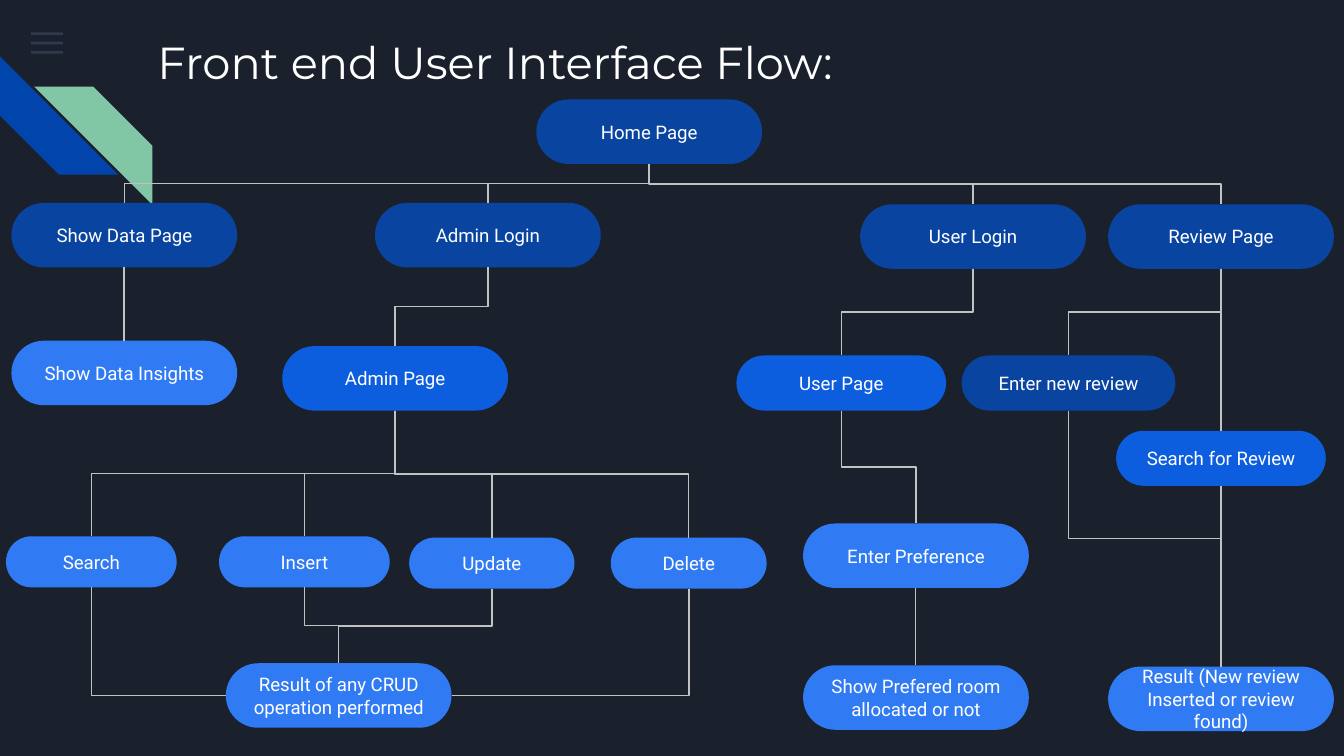
from dataclasses import dataclass

from lxml import etree as et
from pptx import Presentation
from pptx import util as u
from pptx.dml.color import RGBColor
from pptx.enum import shapes, text
from pptx.oxml import ns

PX = 4572
COLORS = {
    "bg": "1B212C",
    "text": "FFFFFF",
    "line": "C2C2C2",
    "menu": "55688B",
    "stripe": "0145AC",
    "mint": "82C7A5",
    "dark": "0944A1",
    "mid": "0D5DDF",
    "light": "307BF3",
}
TOP, LEFT, BOTTOM, RIGHT = range(4)


@dataclass(frozen=True)
class Node:
    label: str
    x: int
    y: int
    color: str
    w: int = 336
    h: int = 96

    def site(self, side: int) -> tuple[float, float]:
        cx, cy = self.x + self.w / 2, self.y + self.h / 2
        return {
            TOP: (cx, self.y),
            LEFT: (self.x, cy),
            BOTTOM: (cx, self.y + self.h),
            RIGHT: (self.x + self.w, cy),
        }[side]


@dataclass(frozen=True)
class Link:
    start: str
    end: str
    side: int = TOP


NODES = {
    "home": Node("Home Page", 798, 148, "dark"),
    "data": Node("Show Data Page", 17, 302, "dark"),
    "admin_login": Node("Admin Login", 558, 302, "dark"),
    "user_login": Node("User Login", 1280, 304, "dark"),
    "review": Node("Review Page", 1649, 304, "dark"),
    "insights": Node("Show Data Insights", 17, 507, "light"),
    "admin": Node("Admin Page", 420, 515, "mid"),
    "user": Node("User Page", 1096, 529, "mid", 312, 82),
    "new_review": Node("Enter new review", 1431, 529, "dark", 318, 82),
    "find_review": Node("Search for Review", 1661, 641, "mid", 312, 82),
    "search": Node("Search", 9, 798, "light", 254, 76),
    "insert": Node("Insert", 326, 798, "light", 254, 76),
    "update": Node("Update", 609, 800, "light", 246, 76),
    "delete": Node("Delete", 909, 800, "light", 232, 76),
    "preference": Node("Enter Preference", 1195, 779, "light"),
    "crud": Node("Result of any CRUD operation performed", 336, 987, "light"),
    "room": Node("Show Prefered room allocated or not", 1195, 990, "light"),
    "result": Node("Result (New review Inserted or review found)", 1649, 992, "light"),
}
LINKS = [
    Link("home", "data"),
    Link("home", "admin_login"),
    Link("home", "user_login"),
    Link("home", "review"),
    Link("data", "insights"),
    Link("admin_login", "admin"),
    Link("user_login", "user"),
    Link("review", "new_review"),
    Link("review", "find_review"),
    Link("admin", "search"),
    Link("admin", "insert"),
    Link("admin", "update"),
    Link("admin", "delete"),
    Link("user", "preference"),
    Link("preference", "room"),
    Link("new_review", "result"),
    Link("find_review", "result"),
    Link("insert", "crud"),
    Link("update", "crud"),
    Link("search", "crud", LEFT),
    Link("delete", "crud", RIGHT),
]


def px(n: float) -> u.Emu:
    return u.Emu(round(n * PX))


def rgb(name: str) -> RGBColor:
    return RGBColor.from_string(COLORS[name])


def put_text(tf, content: str, *, font: str, size: int, align, anchor) -> None:
    tf.auto_size = text.MSO_AUTO_SIZE.NONE
    tf.word_wrap = True
    tf.vertical_anchor = anchor
    tf.margin_left = tf.margin_right = tf.margin_top = tf.margin_bottom = px(20)
    p = tf.paragraphs[0]
    p.alignment = align
    r = p.add_run()
    r.text = content
    r.font.name = font
    r.font.size = u.Pt(size)
    r.font.color.rgb = rgb("text")


def add_block(s, kind, x: int, y: int, w: int, h: int, color: str):
    sp = s.shapes.add_shape(kind, px(x), px(y), px(w), px(h))
    sp.shadow.inherit = False
    sp.fill.solid()
    sp.fill.fore_color.rgb = rgb(color)
    sp.line.fill.background()
    return sp


def add_decor(s) -> None:
    for y in (48, 62, 76):
        bar = add_block(s, shapes.MSO_SHAPE.RECTANGLE, 46, y, 48, 4, "menu")
        clr = bar._element.spPr.find(".//" + ns.qn("a:srgbClr"))
        et.SubElement(clr, ns.qn("a:alpha")).set("val", "36000")
    stripe = add_block(s, shapes.MSO_SHAPE.DIAGONAL_STRIPE, 0, 84, 176, 176, "stripe")
    stripe.rotation = 270
    mint = add_block(s, shapes.MSO_SHAPE.DIAGONAL_STRIPE, 51, 129, 176, 176, "mint")
    mint._element.spPr.xfrm.set("flipH", "1")


def add_node(s, node: Node):
    sp = add_block(s, shapes.MSO_SHAPE.ROUNDED_RECTANGLE,
                   node.x, node.y, node.w, node.h, node.color)
    sp.adjustments[0] = 0.5
    put_text(sp.text_frame, node.label, font="Roboto", size=10,
             align=text.PP_ALIGN.CENTER, anchor=text.MSO_ANCHOR.MIDDLE)
    return sp


def add_link(s, link: Link, boxes: dict) -> None:
    x1, y1 = NODES[link.start].site(BOTTOM)
    x2, y2 = NODES[link.end].site(link.side)
    c = s.shapes.add_connector(shapes.MSO_CONNECTOR.ELBOW, px(x1), px(y1), px(x2), px(y2))
    c.begin_connect(boxes[link.start], BOTTOM)
    c.end_connect(boxes[link.end], link.side)
    w, h = y2 - y1, abs(x2 - x1)
    c.left, c.top = px((x1 + x2 - w) / 2), px((y1 + y2 - h) / 2)
    c.width, c.height = px(w), px(h)
    leftward = x2 < x1
    xfrm = c._element.spPr.xfrm
    xfrm.set("rot", "5400000" if leftward else "16200000")
    xfrm.set("flipH", "0" if leftward else "1")
    xfrm.set("flipV", "0")
    if link.side != TOP:
        c._element.spPr.find(ns.qn("a:prstGeom")).set("prst", "bentConnector2")
    c.line.color.rgb = rgb("line")
    c.line.width = u.Pt(0.75)
    et.SubElement(c._element.spPr, ns.qn("a:effectLst"))


def main() -> None:
    prs = Presentation()
    prs.slide_width, prs.slide_height = px(2000), px(1125)
    s = prs.slides.add_slide(prs.slide_layouts[5])
    s.background.fill.solid()
    s.background.fill.fore_color.rgb = rgb("bg")
    add_decor(s)
    title = s.shapes.title
    title.left, title.top, title.width, title.height = px(214), px(32), px(1540), px(116)
    put_text(title.text_frame, "Front end User Interface Flow:", font="Montserrat", size=24,
             align=text.PP_ALIGN.LEFT, anchor=text.MSO_ANCHOR.TOP)
    boxes = {key: add_node(s, node) for key, node in NODES.items()}
    for link in LINKS:
        add_link(s, link, boxes)
    prs.save("out.pptx")


if __name__ == "__main__":
    main()
